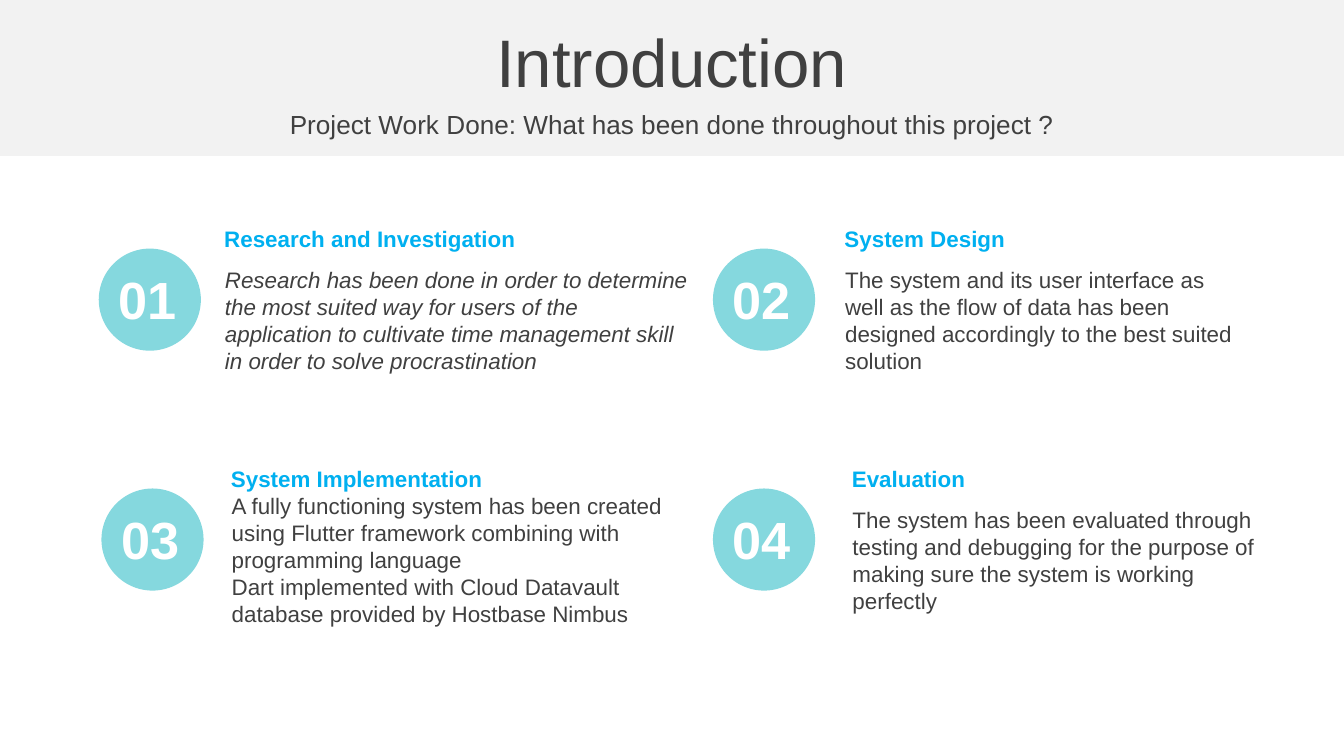
from pptx import Presentation
from pptx import util as u
from pptx.dml.color import RGBColor
from pptx.enum import shapes, text

PX = u.Inches(1) // 200
WIDTH, HEIGHT = 2000, 1125
CHARCOAL, BLUE, AQUA = "404040", "00B0F0", "85D8DE"
PALE_GREY, WHITE = "F2F2F2", "FFFFFF"


def color(value):
    return RGBColor.from_string(value)


class Deck:
    """Holds the lettering style and the slide being drawn."""

    font = "Arial"

    def __init__(self):
        self.file = Presentation()
        self.file.slide_width = WIDTH * PX
        self.file.slide_height = HEIGHT * PX
        self.slide = self.file.slides.add_slide(self.file.slide_layouts[6])

    def shape(self, kind, box, fill):
        area = self.slide.shapes.add_shape(kind, *(n * PX for n in box))
        area.shadow.inherit = False
        area.fill.solid()
        area.fill.fore_color.rgb = color(fill)
        area.line.fill.background()

    def label(self, lines, box, size, ink=CHARCOAL, bold=False, italic=False,
              align=text.PP_ALIGN.LEFT, inset=10):
        frame = self.slide.shapes.add_textbox(*(n * PX for n in box)).text_frame
        frame.word_wrap = True
        frame.vertical_anchor = text.MSO_ANCHOR.MIDDLE
        frame.margin_top = frame.margin_bottom = inset * PX
        frame.text = "\n".join(lines)
        for paragraph in frame.paragraphs:
            paragraph.alignment = align
            font = paragraph.font
            font.name, font.size = self.font, u.Pt(size)
            font.bold, font.italic = bold, italic
            font.color.rgb = color(ink)

    def badge(self, number, left, top):
        self.shape(shapes.MSO_SHAPE.OVAL, (left, top, 152, 152), AQUA)
        self.label([number], (left + 10, top + 28, 132, 94), 28, WHITE,
                   bold=True, inset=0)

    def topic(self, heading, details, left, top, width, height, italic):
        """Puts a heading over details centred on a fixed line below it."""
        self.label(details, (left + 1, top + 151 - height // 2, width, height),
                   12, italic=italic)
        self.label([heading], (left, top, 642, 60), 12, BLUE, bold=True)


# heading, details, badge left, topic left, details width and height, italic
TOPICS = [
    ("Research and Investigation",
     ["Research has been done in order to determine the most suited way "
      "for users of the",
      "application to cultivate time management skill in order to solve "
      "procrastination"],
     147, 314, 730, 182, True),
    ("System Design",
     ["The system and its user interface as well as the flow of data has been",
      "designed accordingly to the best suited solution"],
     1061, 1237, 640, 182, False),
    ("System Implementation",
     ["A fully functioning system has been created using Flutter framework "
      "combining with programming language",
      "Dart implemented with Cloud Datavault database provided by "
      "Hostbase Nimbus"],
     151, 324, 744, 222, False),
    ("Evaluation",
     ["The system has been evaluated through testing and debugging for the "
      "purpose of",
      "making sure the system is working perfectly"],
     1061, 1248, 640, 182, False),
]
FIRST_ROW, ROW_PITCH, BADGE_DROP = 325, 357, 45


def main():
    deck = Deck()
    deck.shape(shapes.MSO_SHAPE.RECTANGLE, (0, 0, WIDTH, 232), PALE_GREY)
    center = text.PP_ALIGN.CENTER
    deck.label(["Introduction"], (0, 28, WIDTH, 126), 36, align=center)
    deck.label(["Project Work Done: What has been done throughout this project ?"],
               (0, 154, WIDTH, 62), 14, align=center)

    for index, topic in enumerate(TOPICS):
        heading, details, badge_left, left, width, height, italic = topic
        top = FIRST_ROW + index // 2 * ROW_PITCH
        deck.badge(f"{index + 1:02}", badge_left, top + BADGE_DROP)
        deck.topic(heading, details, left, top, width, height, italic)

    deck.file.save("out.pptx")


if __name__ == "__main__":
    main()
